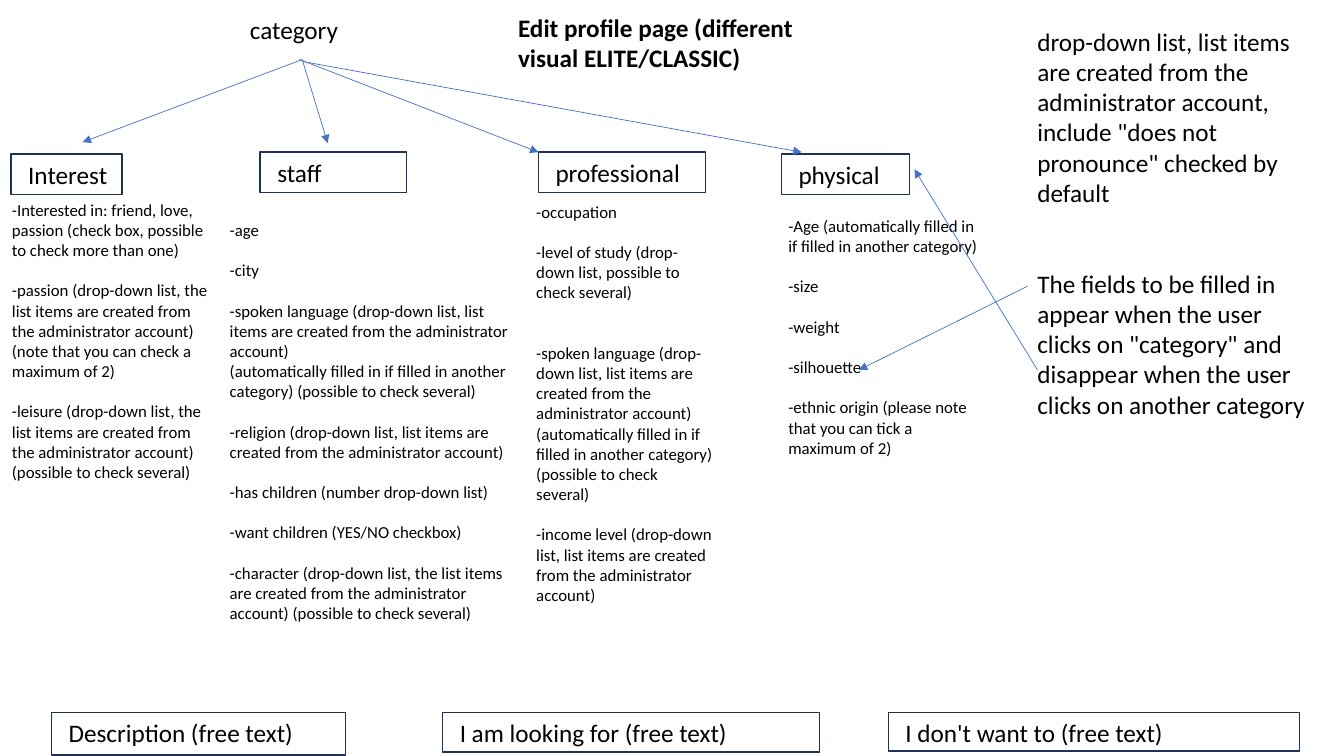
from lxml import etree
from pptx import Presentation
from pptx.dml.color import RGBColor
from pptx.enum.shapes import MSO_CONNECTOR, MSO_SHAPE
from pptx.enum.text import MSO_ANCHOR, PP_ALIGN
from pptx.oxml.ns import qn
from pptx.util import Inches, Pt

BLACK = RGBColor(0x00, 0x00, 0x00)
NAVY = RGBColor(0x1E, 0x32, 0x56)
BLUE = RGBColor(0x44, 0x72, 0xC4)
FONT = "Calibri"
HEAD, BODY = 18, 12
LINE = 1.2  # line height as a multiple of the text size
INSET = 0.05

# Headings: text, (left, top, width, height), bold
TITLES = [
    ("Edit profile page (different visual ELITE/CLASSIC)", (5.04, 0.07, 3.21, 0.71), True),
    ("category", (2.38, 0.09, 1.64, 0.4), False),
]

# Outlined boxes: text, (left, top, width, height)
BOXES = [
    ("Interest", (0.11, 1.53, 1.1, 0.4)),
    ("staff", (2.58, 1.51, 1.45, 0.4)),
    ("professional", (5.34, 1.51, 1.66, 0.4)),
    ("physical", (7.75, 1.53, 1.27, 0.4)),
    ("Description (free text)", (0.51, 7.07, 2.92, 0.42)),
    ("I am looking for (free text)", (4.39, 7.07, 3.74, 0.39)),
    ("I don't want to (free text)", (8.81, 7.07, 4.08, 0.38)),
]

# Text columns: area, size, empty lines at the top, (empty lines before, text)
LANGUAGE = "-spoken language (drop-down list, list items are created from the administrator account)"
AUTO_FILLED = "(automatically filled in if filled in another category) (possible to check several)"
COLUMNS = [
    ((0.02, 1.93, 2.17, 3.94), BODY, 0, [
        (0, "-Interested in: friend, love, passion (check box, possible to check more than one)"),
        (1, "-passion (drop-down list, the list items are created from the administrator account) "
            "(note that you can check a maximum of 2)"),
        (1, "-leisure (drop-down list, the list items are created from the administrator account) "
            "(possible to check several)"),
    ]),
    ((2.18, 1.93, 3.01, 5.57), BODY, 1, [
        (0, "-age"),
        (1, "-city"),
        (1, LANGUAGE),
        (0, AUTO_FILLED),
        (1, "-religion (drop-down list, list items are created from the administrator account)"),
        (1, "-has children (number drop-down list)"),
        (1, "-want children (YES/NO checkbox)"),
        (1, "-character (drop-down list, the list items are created from the administrator "
            "account) (possible to check several)"),
    ]),
    ((5.22, 1.95, 1.95, 5.55), BODY, 0, [
        (0, "-occupation"),
        (1, "-level of study (drop-down list, possible to check several)"),
        (2, LANGUAGE),
        (0, AUTO_FILLED),
        (1, "-income level (drop-down list, list items are created from the administrator account)"),
    ]),
    ((7.72, 1.89, 2.11, 4.14), BODY, 1, [
        (0, "-Age (automatically filled in if filled in another category)"),
        (1, "-size"),
        (1, "-weight"),
        (1, "-silhouette"),
        (1, "-ethnic origin (please note that you can tick a maximum of 2)"),
    ]),
    ((10.19, 0.21, 2.98, 5.86), HEAD, 0, [
        (0, "drop-down list, list items are created from the administrator account, "
            "include \"does not pronounce\" checked by default"),
        (2, "The fields to be filled in appear when the user clicks on \"category\" "
            "and disappear when the user clicks on another category"),
    ]),
]

# Arrows: from, to
ARROWS = [
    ((10.29, 3.67), (9.07, 1.68)),
    ((10.19, 2.84), (8.52, 3.67)),
    ((3, 0.59), (0.82, 1.41)),
    ((3, 0.6), (3.25, 1.42)),
    ((2.97, 0.59), (5.34, 1.51)),
    ((3, 0.61), (7.95, 1.51)),
]

prs = Presentation()
prs.slide_width, prs.slide_height = Inches(13.33), Inches(7.5)
s = prs.slides.add_slide(prs.slide_layouts[6])


def write(sp, size, items, bold=False, lead=0):
    """Fill a shape with paragraphs, leaving whole lines as gaps."""
    tf = sp.text_frame
    tf.word_wrap = True
    tf.vertical_anchor = MSO_ANCHOR.TOP
    tf.margin_top = Inches(INSET) + Pt(lead * size * LINE)
    for i, (gap, text) in enumerate(items):
        p = tf.paragraphs[0] if i == 0 else tf.add_paragraph()
        p.text = text
        p.alignment = PP_ALIGN.LEFT
        p.space_before = Pt(gap * size * LINE)
        font = p.runs[0].font
        font.name, font.size, font.bold = FONT, Pt(size), bold
        font.color.rgb = BLACK


# Headings
for text, area, bold in TITLES:
    write(s.shapes.add_textbox(*map(Inches, area)), HEAD, [(0, text)], bold)

# Category and free text boxes
for text, area in BOXES:
    sp = s.shapes.add_shape(MSO_SHAPE.RECTANGLE, *map(Inches, area))
    sp.shadow.inherit = False
    sp.fill.background()
    sp.line.color.rgb = NAVY
    sp.line.width = Pt(1)
    write(sp, HEAD, [(0, text)])
    sp.text_frame.margin_left = Inches(0.17)
    sp.text_frame.margin_right = 0

# Field lists and side notes
for area, size, lead, items in COLUMNS:
    write(s.shapes.add_textbox(*map(Inches, area)), size, items, lead=lead)

# Arrows
for start, end in ARROWS:
    c = s.shapes.add_connector(MSO_CONNECTOR.STRAIGHT, *map(Inches, start + end))
    c.line.color.rgb = BLUE
    c.line.width = Pt(0.5)
    etree.SubElement(c.line._get_or_add_ln(), qn("a:tailEnd"), type="triangle")
    etree.SubElement(c._element.spPr, qn("a:effectLst"))

prs.save("out.pptx")
